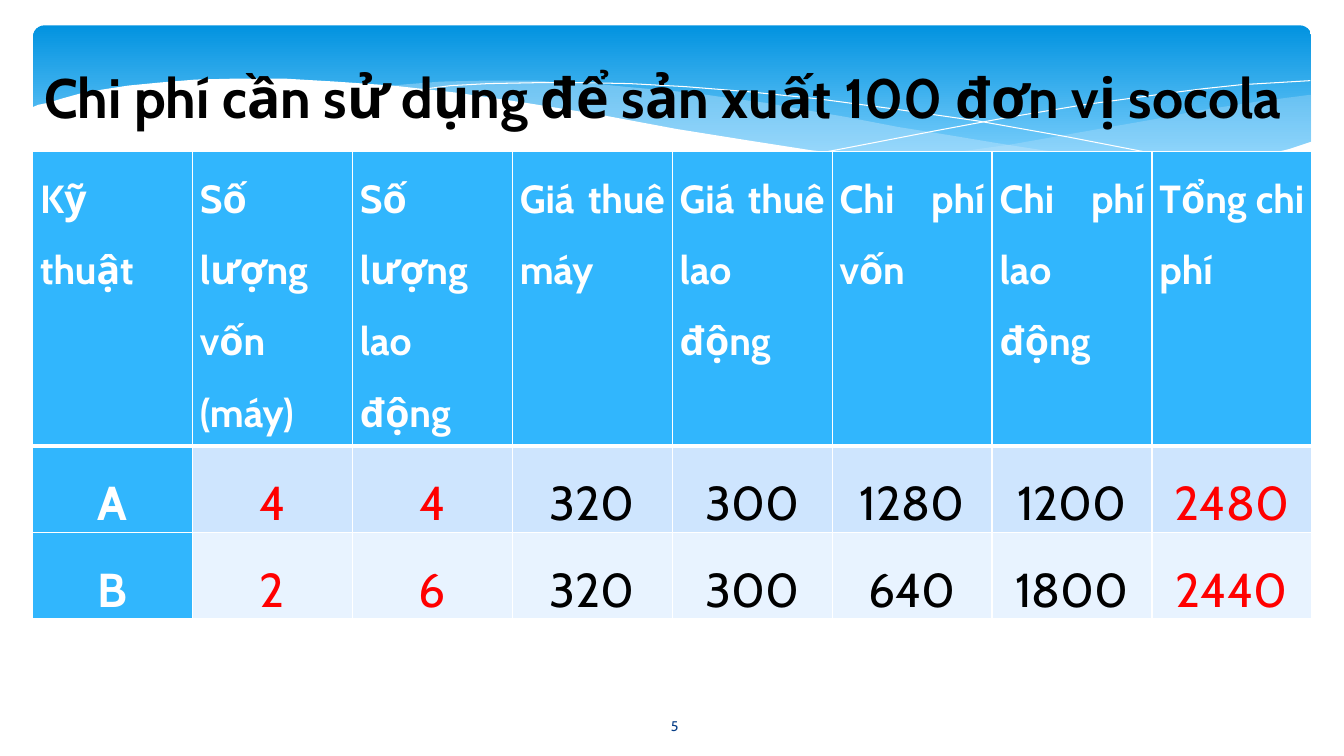
from lxml import etree
from pptx import Presentation
from pptx.dml.color import RGBColor
from pptx.enum import shapes, text
from pptx.oxml.ns import qn
from pptx.util import Cm, Pt

WHITE = RGBColor(0xFF, 0xFF, 0xFF)
BLACK = RGBColor(0, 0, 0)
RED = RGBColor(0xFF, 0, 0)
NAVY = RGBColor(0x07, 0x3E, 0x87)
AZURE = RGBColor(0x31, 0xB6, 0xFD)
DEEP = RGBColor(0x02, 0x93, 0xE0)
LIGHT = RGBColor(0x83, 0xD3, 0xFE)
PALE = RGBColor(0xC6, 0xE7, 0xFC)
BANDS = RGBColor(0xCE, 0xE5, 0xFE), RGBColor(0xE8, 0xF3, 0xFF)

FONT = "Cabin"
CENTER = text.PP_ALIGN.CENTER
JUSTIFY = text.PP_ALIGN.JUSTIFY
UNIT = Cm(0.0254)  # grid step for the wave points

TITLE = "Chi phí cần sử dụng để sản xuất 100 đơn vị socola"
HEADS = ["Kỹ thuật", "Số lượng vốn (máy)", "Số lượng lao động",
         "Giá thuê máy", "Giá thuê lao động", "Chi phí vốn",
         "Chi phí lao động", "Tổng chi phí"]
COSTS = [["A", 4, 4, 320, 300, 1280, 1200, 2480],
         ["B", 2, 6, 320, 300, 640, 1800, 2440]]
RED_COLS = 1, 2, 7

RIGHT_WAVE = [
    (1300, 94), (1246, 101), (1188, 110), (1147, 118), (1073, 131),
    (1005, 143), (941, 152), (882, 160), (921, 164), (958, 167), (993, 169),
    (1025, 171), (1056, 172), (1113, 172), (1151, 170), (1186, 166),
    (1218, 162), (1247, 156), (1266, 152), (1301, 142), (1301, 94)]
MID_WAVE = [
    (1190, 167), (1154, 164), (1116, 159), (1076, 154), (1034, 149),
    (989, 142), (941, 134), (891, 126), (839, 116), (798, 109), (759, 102),
    (721, 97), (686, 92), (652, 89), (619, 86), (589, 83), (560, 82),
    (532, 80), (482, 80), (437, 81), (399, 84), (382, 86), (431, 90),
    (483, 97), (539, 106), (599, 116), (654, 126), (706, 135), (755, 143),
    (802, 150), (846, 156), (887, 161), (926, 165), (963, 168), (998, 170),
    (1030, 172), (1061, 173), (1104, 173), (1143, 171), (1190, 167)]
FALL_LINE = [
    (412, 90), (424, 88), (447, 85), (484, 83), (535, 82), (577, 82),
    (625, 83), (680, 86), (742, 91), (811, 98), (886, 108), (970, 120),
    (1060, 136), (1158, 155), (1210, 166)]
RISE_LINE = [
    (818, 151), (870, 141), (927, 130), (997, 117), (1075, 104), (1155, 93),
    (1194, 88), (1232, 84), (1267, 82), (1300, 80)]
WHITE_WAVE = [
    (1303, 140), (1279, 148), (1254, 154), (1227, 159), (1198, 164),
    (1167, 167), (1134, 170), (1097, 171), (1058, 171), (1015, 170),
    (969, 167), (918, 162), (863, 156), (804, 149), (740, 139), (671, 128),
    (596, 114), (521, 102), (453, 92), (390, 85), (333, 81), (282, 78),
    (235, 78), (194, 79), (158, 82), (127, 85), (101, 89), (79, 93),
    (61, 98), (48, 102), (38, 104), (31, 107), (31, 224), (1303, 224)]


def put(frame, words, size, color=BLACK, bold=False, align=CENTER,
        space=None, after=None):
    """Write one formatted paragraph into a text frame."""
    frame.word_wrap = True
    para = frame.paragraphs[0]
    para.alignment = align
    para.line_spacing = space
    para.space_after = after
    run = para.add_run()
    run.text = str(words)
    font = run.font
    font.name, font.size, font.bold = FONT, Pt(size), bold
    font.color.rgb = color


def banner(slide):
    """Add the rounded gradient band at the top."""
    band = slide.shapes.add_shape(shapes.MSO_SHAPE.ROUNDED_RECTANGLE,
                                  Cm(0.84), Cm(0.64), Cm(32.2), Cm(3.96))
    band.adjustments[0] = 0.07
    band.shadow.inherit = False
    band.line.fill.background()
    band.fill.gradient()
    band.fill.gradient_angle = 270
    for stop, color, place in zip(band.fill.gradient_stops,
                                  (DEEP, LIGHT), (0, 0.9)):
        stop.color.rgb = color
        stop.position = place


def wave(slide, points, color=None, alpha=100):
    """Add a filled wave, or a white hairline when no color is given."""
    build = slide.shapes.build_freeform(*points[0], scale=UNIT)
    build.add_line_segments(points[1:], close=color is not None)
    shape = build.convert_to_shape()
    shape.shadow.inherit = False
    if color is None:
        shape.fill.background()
        shape.line.color.rgb = WHITE
        shape.line.width = Pt(0)
        return
    shape.line.fill.background()
    shape.fill.solid()
    shape.fill.fore_color.rgb = color
    if alpha < 100:
        tint = shape.fill._xPr.find(".//" + qn("a:srgbClr"))
        etree.SubElement(tint, qn("a:alpha"), val=str(alpha * 1000))


def edge(cell, side, width):
    """Give one side of a cell a white border."""
    props = cell._tc.get_or_add_tcPr()
    line = etree.SubElement(props, qn("a:ln" + side), w=str(Pt(width)))
    fill = etree.SubElement(line, qn("a:solidFill"))
    etree.SubElement(fill, qn("a:srgbClr"), val=str(WHITE))


def style(cell, row, col):
    """Set the margins, borders and fill of a table cell."""
    cell.margin_left = cell.margin_right = Cm(0.19)
    cell.margin_top = cell.margin_bottom = 0
    thick = {"T": row == 1, "B": row == 0}
    for side in "LRTB":
        edge(cell, side, 3 if thick.get(side) else 1)
    cell.fill.solid()
    blue = row == 0 or col == 0
    cell.fill.fore_color.rgb = AZURE if blue else BANDS[row - 1]


def table(slide):
    """Add the cost table."""
    rows = [HEADS] + COSTS
    grid = slide.shapes.add_table(len(rows), len(HEADS), Cm(0.82), Cm(3.82),
                                  Cm(32.24), Cm(11.78)).table
    for line, high in zip(grid.rows, (7.42, 2.18, 2.18)):
        line.height = Cm(high)
    for line in grid.columns:
        line.width = Cm(4.03)
    for row, items in enumerate(rows):
        for col, item in enumerate(items):
            cell = grid.cell(row, col)
            style(cell, row, col)
            head = row == 0
            bold = head or col == 0
            color = WHITE if bold else RED if col in RED_COLS else BLACK
            put(cell.text_frame, item, 28 if head else 34, color, bold,
                JUSTIFY if head else CENTER, space=1.5, after=Pt(8))


def title(slide):
    """Place the title in front of the banner."""
    head = slide.shapes.title
    head.left, head.top = Cm(0.82), Cm(1.45)
    head.width, head.height = Cm(31.78), Cm(3.48)
    frame = head.text_frame
    frame.auto_size = text.MSO_AUTO_SIZE.NONE
    frame.vertical_anchor = text.MSO_ANCHOR.TOP
    put(frame, TITLE, 39.6, bold=True)
    slide.shapes._spTree.append(head._element)


def number(slide):
    """Add the page number."""
    box = slide.shapes.add_textbox(Cm(14.86), Cm(17.78), Cm(4.29), Cm(1.02))
    box.text_frame.vertical_anchor = text.MSO_ANCHOR.MIDDLE
    put(box.text_frame, 5, 10, NAVY)


def main():
    """Build and save the slide."""
    deck = Presentation()
    deck.slide_width, deck.slide_height = Cm(33.87), Cm(19.05)
    slide = deck.slides.add_slide(deck.slide_layouts[5])
    banner(slide)
    wave(slide, RIGHT_WAVE, PALE, 29)
    wave(slide, MID_WAVE, PALE, 40)
    wave(slide, FALL_LINE)
    wave(slide, RISE_LINE)
    wave(slide, WHITE_WAVE, WHITE)
    number(slide)
    table(slide)
    title(slide)
    deck.save("out.pptx")


main()
